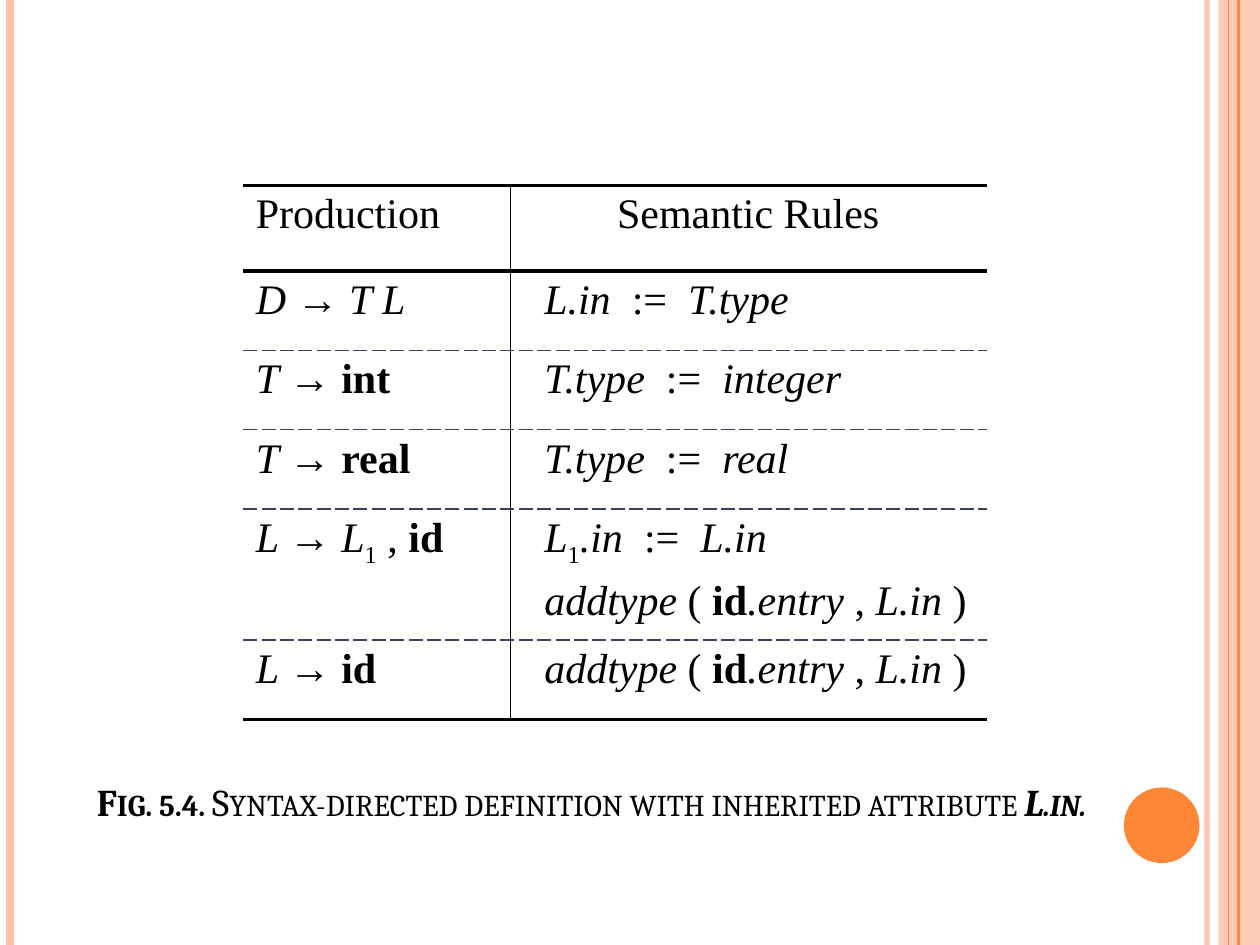
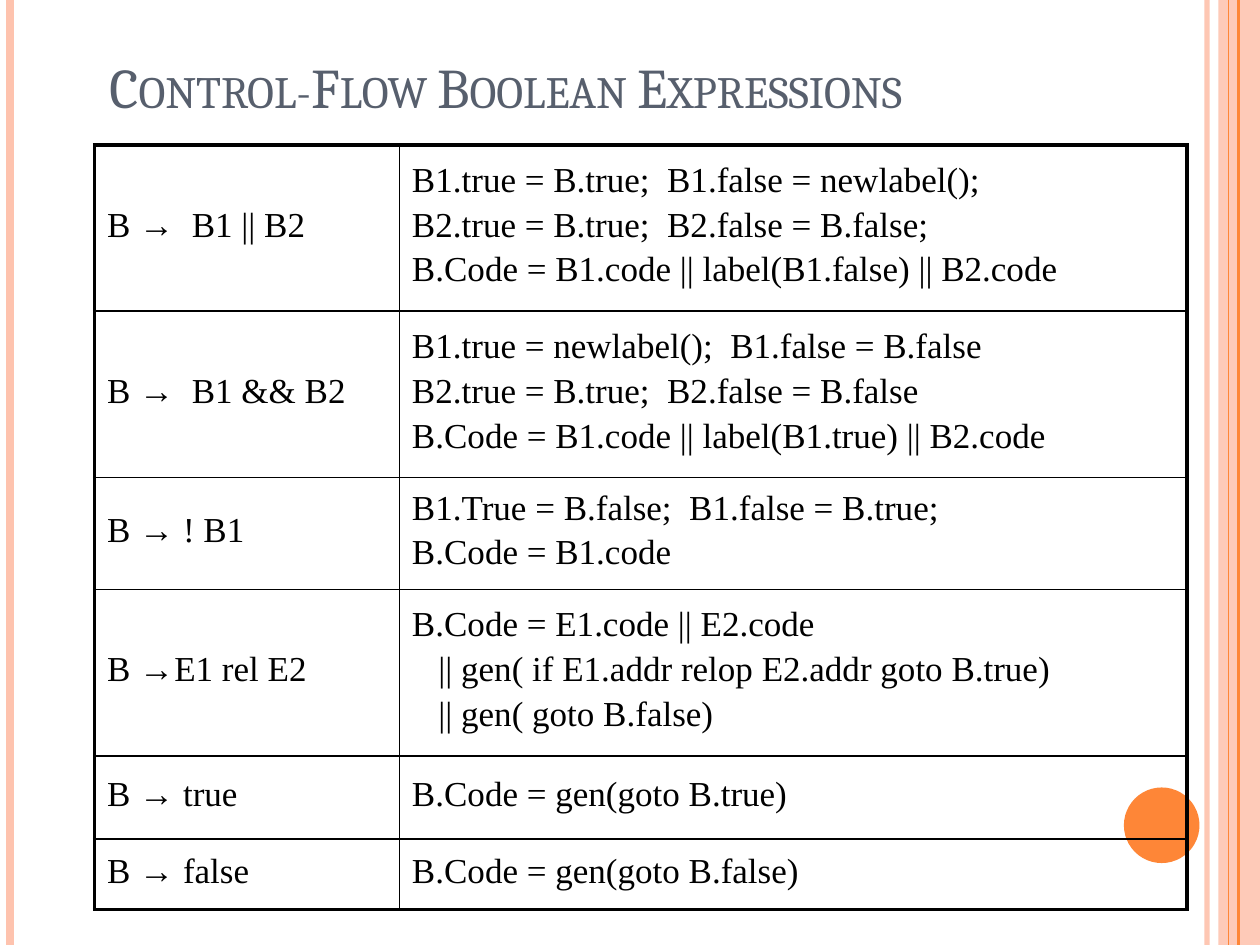
from lxml.etree import SubElement as Sub
from pptx import Presentation
from pptx.dml.color import RGBColor as RGB
from pptx.enum.shapes import MSO_CONNECTOR as Conn, MSO_SHAPE as Shape
from pptx.enum.text import MSO_ANCHOR as Anchor, PP_ALIGN as Align
from pptx.oxml.ns import qn
from pptx.util import Inches, Pt


class Theme:
    black, slate, dash = "000000", "575F6D", "3B435B"
    orange, peach = "FE8637", "FEC3AE"
    head, body, arrow = "Cambria", "Times New Roman", "Arial"
    title, note, rule, code = 32, 21.6, 24, 20


# Marks in text: _ italic, ^ bold, ~ subscript, @ arrow font; a line led by > is indented
def write(frame, text, size=20, font=Theme.body, color=Theme.black, align=Align.LEFT,
          anchor=Anchor.TOP, caps=False, before=0, spacing=1.0, indent=0):
    frame.word_wrap, frame.vertical_anchor = True, anchor
    for i, line in enumerate(text.split("\n")):
        para = frame.add_paragraph() if i else frame.paragraphs[0]
        para.alignment, para.line_spacing, para.space_before = align, spacing, Pt(before)
        if line.startswith(">"):
            props = para._p.get_or_add_pPr()
            props.set("marL", str(Inches(indent)))
            props.set("indent", "0")
            line = line[1:]
        marks, parts = set(), [[set(), ""]]
        for char in line:
            if char in "_^~@":
                marks = marks ^ {char}
                parts.append([marks, ""])
            else:
                parts[-1][1] += char
        for marks, part in parts:
            if not part:
                continue
            run = para.add_run()
            run.text = part
            face = run.font
            face.size, face.color.rgb = Pt(size), RGB.from_string(color)
            face.name = Theme.arrow if "@" in marks else font
            face.bold, face.italic = "^" in marks, "_" in marks
            if "~" in marks:
                face._element.set("baseline", "-25000")
            if caps:
                face._element.set("cap", "small")


# Draw a table; across and down list its rules from top and from left
def grid(slide, left, top, cols, rows, across, down):
    table = slide.shapes.add_table(len(rows), len(cols), Inches(left), Inches(top),
                                   Inches(sum(cols)), Inches(sum(rows))).table
    table.first_row = table.horz_banding = False
    for col, width in zip(table.columns, cols):
        col.width = Inches(width)
    for row, height in zip(table.rows, rows):
        row.height = Inches(height)
    for r in range(len(rows)):
        for c in range(len(cols)):
            cell = table.cell(r, c)
            props = cell._tc.get_or_add_tcPr()
            sides = zip("LRTB", (down[c], down[c + 1], across[r], across[r + 1]))
            for side, rule in sides:
                edge = Sub(props, qn("a:ln" + side))
                if rule is None:
                    Sub(edge, qn("a:noFill"))
                    continue
                color, width, style = rule
                edge.set("w", str(Pt(width)))
                Sub(Sub(edge, qn("a:solidFill")), qn("a:srgbClr")).set("val", color)
                Sub(edge, qn("a:prstDash")).set("val", style)
            cell.fill.background()
    return table


deck = Presentation()
deck.slide_width, deck.slide_height = Inches(10), Inches(7.5)
slides = [deck.slides.add_slide(deck.slide_layouts[6]) for _ in range(2)]

# Side bands and disc shared by the slides
for slide in slides:
    band = slide.shapes.add_shape(Shape.RECTANGLE, Inches(9.67), 0, Inches(0.33), Inches(7.5))
    disc = slide.shapes.add_shape(Shape.OVAL, Inches(8.92), Inches(6.25), Inches(0.6), Inches(0.6))
    for item, color in ((band, Theme.peach), (disc, Theme.orange)):
        item.shadow.inherit = False
        item.fill.solid()
        item.fill.fore_color.rgb = RGB.from_string(color)
        item.line.fill.background()
    faded = [(band, 87)]
    for x, color, width, alpha in ((9.58, Theme.peach, 3, 93), (0.08, Theme.peach, 4.5, 100),
                                   (9.83, Theme.orange, 1.5, 100),
                                   (9.75, Theme.orange, 0.75, 100)):
        line = slide.shapes.add_connector(Conn.STRAIGHT, Inches(x), 0, Inches(x), Inches(7.5))
        line.line.color.rgb, line.line.width = RGB.from_string(color), Pt(width)
        Sub(line._element.spPr, qn("a:effectLst"))
        if alpha < 100:
            faded.append((line, alpha))
    for item, alpha in faded:
        tint = next(item._element.iter(qn("a:srgbClr")))
        Sub(tint, qn("a:alpha")).set("val", str(alpha * 1000))

# Titles
titles = [
    ((0.67, 5.88, 8.82, 0.71), Theme.note, Theme.black,
     "^Fig. 5.4.^ Syntax-directed definition with inherited attribute ^_L.in._^"),
    ((0.77, 0.36, 8.42, 0.64), Theme.title, Theme.slate, "Control-Flow Boolean Expressions"),
]
for slide, (place, size, color, text) in zip(slides, titles):
    box = slide.shapes.add_textbox(*map(Inches, place))
    write(box.text_frame, text, size=size, font=Theme.head, color=color,
          anchor=Anchor.BOTTOM, caps=True)

thin, thick = (Theme.black, 1, "solid"), (Theme.black, 2.25, "solid")
dash = (Theme.dash, 1, "sysDash")

# Slide 1: semantic rules
rules = [
    ("Production", "Semantic Rules"),
    ("_D _→ _T L_", ">_L.in  _:=  _T.type_"),
    ("_T _→ ^int^", ">_T.type  _:=  _integer_"),
    ("_T _→ ^real^", ">_T.type  _:=  _real_"),
    ("_L _→ _L_~1~ , ^id^",
     ">_L_~1~_.in  _:=  _L.in_\n>_addtype _( ^id^_.entry _, _L.in _)"),
    ("_L _→ ^id^", ">_addtype _( ^id^_.entry _, _L.in _)"),
]
table = grid(slides[0], 1.93, 1.47, (2.12, 3.78), (0.68, 0.63, 0.63, 0.63, 1.04, 0.63),
             [thick] * 2 + [dash] * 4 + [thick], [None, thin, None])
for r, row in enumerate(rules):
    for c, text in enumerate(row):
        write(table.cell(r, c).text_frame, text, size=Theme.rule, before=5.5, indent=0.17,
              align=Align.CENTER if (r, c) == (0, 1) else Align.LEFT)

# Slide 2: code for boolean expressions
codes = [
    ("B @→@  B1 || B2", "B1.true = B.true;  B1.false = newlabel();\n"
     "B2.true = B.true;  B2.false = B.false;\n"
     "B.Code = B1.code || label(B1.false) || B2.code"),
    ("B @→@  B1 && B2", "B1.true = newlabel();  B1.false = B.false\n"
     "B2.true = B.true;  B2.false = B.false\n"
     "B.Code = B1.code || label(B1.true) || B2.code"),
    ("B @→@ ! B1", "B1.True = B.false;  B1.false = B.true;\nB.Code = B1.code"),
    ("B @→@E1 rel E2", "B.Code = E1.code || E2.code\n"
     ">|| gen( if E1.addr relop E2.addr goto B.true)\n>|| gen( goto B.false)"),
    ("B @→@ true", "B.Code = gen(goto B.true)"),
    ("B @→@ false", "B.Code = gen(goto B.false)"),
]
table = grid(slides[1], 0.75, 1.15, (2.42, 6.25), (1.32, 1.32, 0.89, 1.32, 0.66, 0.56),
             [thick] + [thin] * 5 + [thick], [thick, thin, thick])
for r, row in enumerate(codes):
    for c, text in enumerate(row):
        cell = table.cell(r, c)
        cell.margin_top = Inches(0.02)
        write(cell.text_frame, text, size=Theme.code, before=5, spacing=0.93, indent=0.21)
        cell.vertical_anchor = Anchor.MIDDLE

deck.save("out.pptx")
